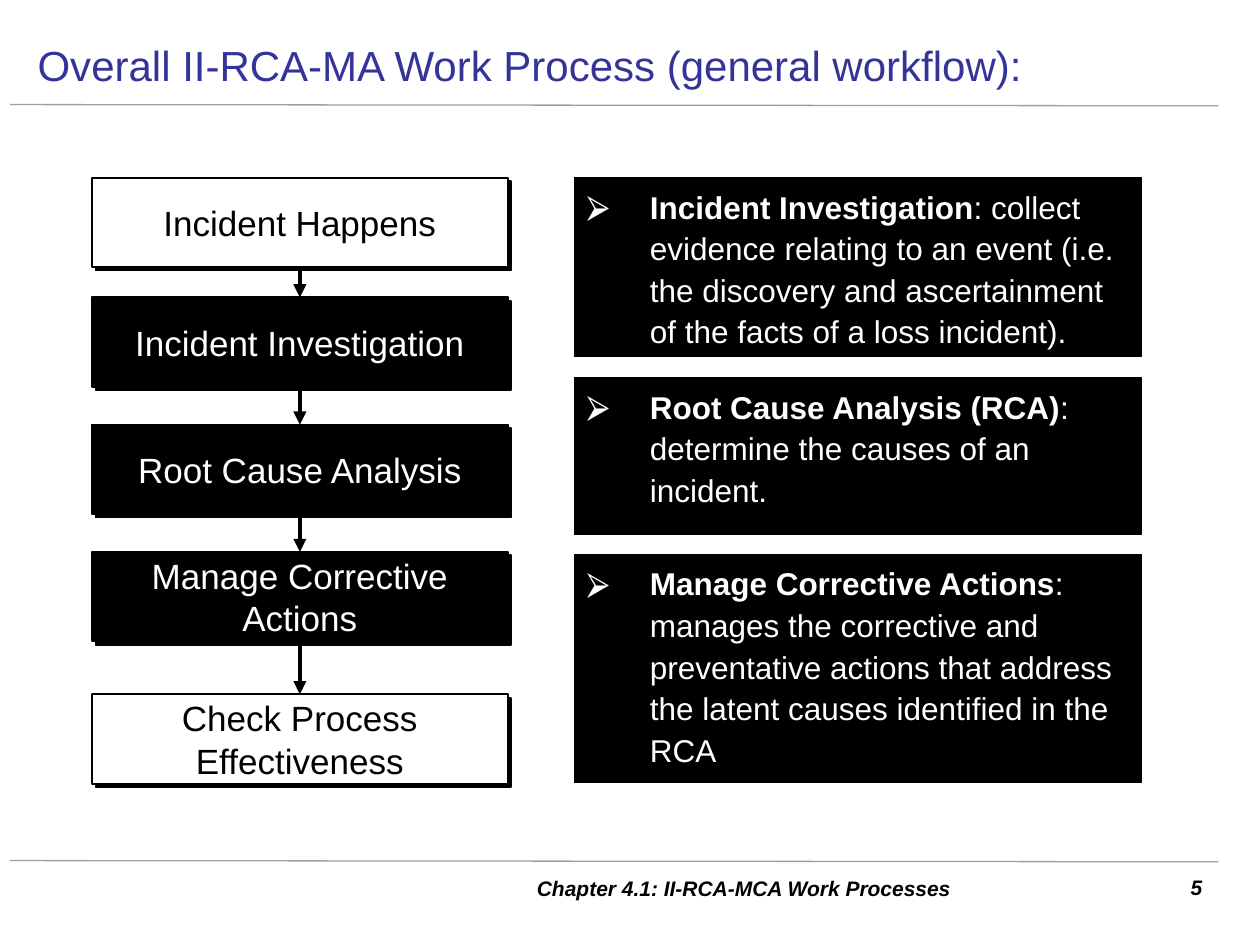
from lxml import etree
from pptx import Presentation
from pptx.dml.color import RGBColor
from pptx.enum.shapes import MSO_CONNECTOR, MSO_SHAPE
from pptx.enum.text import MSO_ANCHOR, PP_ALIGN
from pptx.oxml.ns import qn
from pptx.util import Inches, Pt

BLACK = RGBColor(0x00, 0x00, 0x00)
WHITE = RGBColor(0xFF, 0xFF, 0xFF)
BLUE = RGBColor(0x33, 0x33, 0x99)
TAUPE = RGBColor(0xAA, 0x9C, 0x8F)
STRAIGHT = MSO_CONNECTOR.STRAIGHT
RECT, PROCESS = MSO_SHAPE.RECTANGLE, MSO_SHAPE.FLOWCHART_PROCESS
LEFT, CENTER, RIGHT = PP_ALIGN.LEFT, PP_ALIGN.CENTER, PP_ALIGN.RIGHT
TOP, MIDDLE = MSO_ANCHOR.TOP, MSO_ANCHOR.MIDDLE

WIDTH, HEIGHT = Inches(10), Inches(7.5)
COL, ROW = WIDTH / 100, HEIGHT / 75

STEPS = [
    ("Incident Happens", 0, WHITE, BLACK),
    ("Incident Investigation", 9.5, BLACK, WHITE),
    ("Root Cause Analysis", 19.6, BLACK, WHITE),
    ("Manage Corrective Actions", 29.7, BLACK, WHITE),
    ("Check Process Effectiveness", 41, WHITE, BLACK),
]
STEP_ROWS = 7.1
NOTES = [
    ("Incident Investigation",
     ": collect evidence relating to an event (i.e. the discovery and "
     "ascertainment of the facts of a loss incident).", 0, 14.2),
    ("Root Cause Analysis (RCA)",
     ": determine the causes of an incident.", 15.9, 12.4),
    ("Manage Corrective Actions",
     ": manages the corrective and preventative actions that address the "
     "latent causes identified in the RCA", 29.9, 18.1),
]


def place(x, y, w, h):
    return [round(v) for v in (x * COL, y * ROW, w * COL, h * ROW)]


def add(parent, tag, **attrs):
    return etree.SubElement(parent, qn(tag), attrs)


def write(shape, runs, size, color, align=LEFT, anchor=TOP, italic=False):
    frame = shape.text_frame
    frame.word_wrap = True
    frame.vertical_anchor = anchor
    para = frame.paragraphs[0]
    para.alignment = align
    for text, bold in runs:
        run = para.add_run()
        run.text = text
        font = run.font
        font.name, font.size = "Arial", Pt(size)
        font.bold, font.italic = bold, italic
        font.color.rgb = color
    return para


def draw_line(slide, start, end, color, weight, arrow=False):
    x1, y1, x2, y2 = place(*start, *end)
    line = slide.shapes.add_connector(STRAIGHT, x1, y1, x2, y2)
    line.line.color.rgb = color
    line.line.width = Pt(weight)
    if arrow:
        add(line.line._get_or_add_ln(), "a:tailEnd", type="triangle")
    add(line._element.spPr, "a:effectLst")


def draw_box(slide, kind, box, fill, weight):
    shape = slide.shapes.add_shape(kind, *place(*box))
    shape.shadow.inherit = False
    shape.fill.solid()
    shape.fill.fore_color.rgb = fill
    shape.line.color.rgb = BLACK
    shape.line.width = Pt(weight)
    return shape


def cast(shape):
    effects = shape._element.spPr.find(qn("a:effectLst"))
    shadow = add(effects, "a:outerShdw", dist=str(Pt(2.8)), dir="2700000",
                 algn="ctr", rotWithShape="0")
    add(shadow, "a:srgbClr", val=str(BLACK))


def bullet(para):
    para.line_spacing = 1.1
    props = para._p.get_or_add_pPr()
    props.set("marL", str(Inches(0.5)))
    props.set("indent", str(-Inches(0.5)))
    add(add(props, "a:buClr"), "a:srgbClr", val=str(WHITE))
    add(props, "a:buFont", typeface="Arial")
    add(props, "a:buChar", char="⮚")


def draw_head(slide, x, y, w, h):
    draw_line(slide, (x, y + h), (x + w, y + h + 0.1), TAUPE, 0.75)
    title = slide.shapes.add_textbox(*place(x + 1.2, y, w - 1.4, 5.5))
    write(title, [("Overall II-RCA-MA Work Process (general workflow):", False)],
          24, BLUE, anchor=MIDDLE)


def draw_foot(slide, x, y, w, h):
    draw_line(slide, (x, y), (x + w, y + 0.1), TAUPE, 0.75)
    number = slide.shapes.add_textbox(*place(x + w - 6.1, y + 0.6, 5.8, h))
    write(number, [("5", True)], 12, BLACK, RIGHT, italic=True)
    label = slide.shapes.add_textbox(*place(x + 28.7, y + 0.6, 59.1, h))
    write(label, [("Chapter 4.1: II-RCA-MCA Work Processes", True)],
          12, BLACK, CENTER, MIDDLE, True)


def draw_flow(slide, x, y, w):
    mid = x + w / 2
    for above, below in zip(STEPS, STEPS[1:]):
        draw_line(slide, (mid, y + above[1] + STEP_ROWS),
                  (mid, y + below[1]), BLACK, 2.5, True)
    for text, row, fill, color in STEPS:
        shape = draw_box(slide, PROCESS, (x, y + row, w, STEP_ROWS), fill, 1)
        cast(shape)
        write(shape, [(text, False)], 20, color, CENTER, MIDDLE)


def draw_notes(slide, x, y, w):
    for term, text, row, rows in NOTES:
        shape = draw_box(slide, RECT, (x, y + row, w, rows), BLACK, 0.75)
        bullet(write(shape, [(term, True), (text, False)], 18, WHITE))


def main():
    deck = Presentation()
    deck.slide_width, deck.slide_height = WIDTH, HEIGHT
    slide = deck.slides.add_slide(deck.slide_layouts[6])
    draw_head(slide, 0.8, 2.4, 95.9, 5.9)
    draw_flow(slide, 7.3, 14.1, 33)
    draw_notes(slide, 45.6, 14.1, 45)
    draw_foot(slide, 0.8, 68.3, 95.9, 3.1)
    deck.save("out.pptx")


if __name__ == "__main__":
    main()
